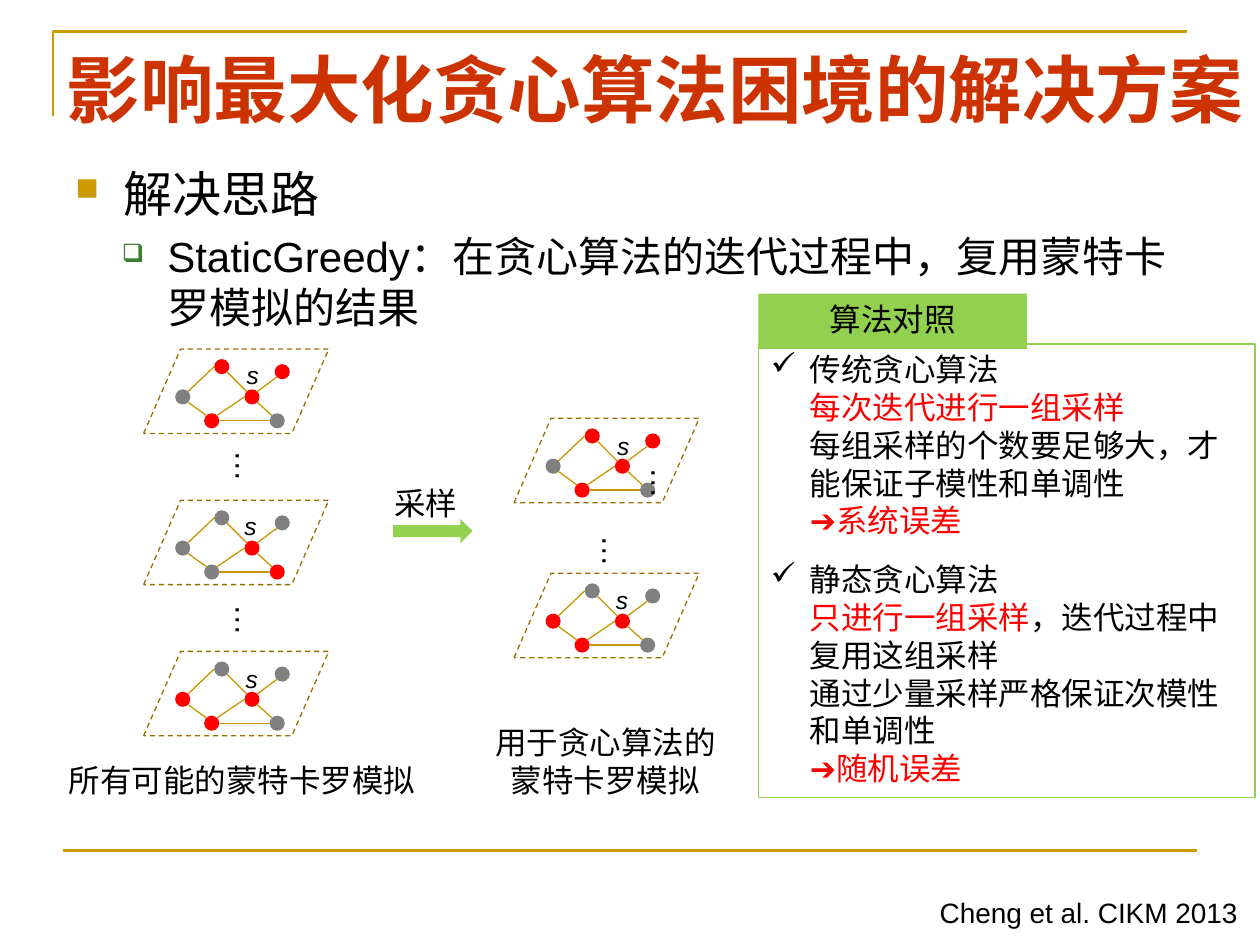
from dataclasses import dataclass
from typing import Optional

from lxml import etree
from pptx import Presentation
from pptx import util as u
from pptx.dml.color import RGBColor
from pptx.enum import dml, shapes, text
from pptx.oxml import ns

# The slide is a grid of 100 columns by 75 rows; every length counts its cells.
COLUMNS, ROWS = 100, 75
CELL = u.Inches(0.1)
COLORS = {
    "title": "CC3300", "gold": "CC9900", "edge": "C89600", "outline": "977100",
    "active": "FF0000", "idle": "808080", "green": "92D050", "bullet": "3B812F",
    "black": "000000",
}
NODE_SIZE = 1.2
NODES = {
    "left": (2.5, 3.2), "bottom": (4.8, 5.1), "far": (10.4, 1.2),
    "top": (5.6, 0.8), "seed": (8, 3.2), "right": (10, 5.1),
}
SITES = {
    "w": (0, 0.5), "e": (1, 0.5), "nw": (0.15, 0.15),
    "ne": (0.85, 0.15), "sw": (0.15, 0.85), "se": (0.85, 0.85),
}
EDGES = [
    ("left", "ne", "top", "w"), ("left", "se", "bottom", "nw"),
    ("bottom", "ne", "seed", "w"), ("seed", "nw", "top", "se"),
    ("far", "sw", "seed", "ne"), ("right", "w", "bottom", "e"),
    ("seed", "se", "right", "nw"),
]


@dataclass
class Panel:
    left: float
    top: float
    active: set
    label_left: float
    label_top: float


@dataclass
class Line:
    """One paragraph: (text, colour) runs with its list format."""
    runs: list
    size: Optional[float] = None
    margin: float = 0
    bullet: str = ""
    bullet_color: str = ""
    bullet_percent: int = 100
    level: int = 0
    before: float = 0
    after: float = 0


PANELS = [
    Panel(11.4, 27.7, {"bottom", "far", "top", "seed"}, 18.6, 28.1),
    Panel(11.4, 39.7, {"seed", "right"}, 18.4, 40.1),
    Panel(11.4, 51.7, {"left", "bottom", "seed"}, 18.5, 52.2),
    Panel(40.8, 33.2, {"bottom", "far", "top", "seed"}, 48, 33.7),
    Panel(40.8, 45.5, {"left", "bottom", "seed"}, 47.9, 45.9),
]
ELLIPSES = [(16.3, 47), (16.3, 34.8), (49.3, 36.1), (45.4, 41.5)]
IDEA = [
    Line([("解决思路", "black")], 28, 3.8, "■", "gold", 65, before=5.6),
    Line([("StaticGreedy：在贪心算法的迭代过程中，复用蒙特卡罗模拟的结果", "black")],
         24, 7.3, "❑", "bullet", 60, level=1, before=4.8),
]
COMPARISON = [
    Line([("传统贪心算法", "black")], margin=3.1, bullet="✓"),
    Line([("每次迭代进行一组采样", "active")], margin=3.1),
    Line([("每组采样的个数要足够大，才能保证子模性和单调性", "black")], margin=3.1),
    Line([("➔系统误差", "active")], margin=3.1, after=12),
    Line([("静态贪心算法", "black")], margin=3.1, bullet="✓"),
    Line([("只进行一组采样", "active"), ("，迭代过程中复用这组采样", "black")],
         margin=3.1, level=1),
    Line([("通过少量采样严格保证次模性和单调性", "black")], margin=3.1, level=1),
    Line([("➔随机误差", "active")], margin=3.1, level=1),
]


def cells(*counts: float) -> list:
    return [u.Emu(round(count * CELL)) for count in counts]


def rgb(name: str) -> RGBColor:
    return RGBColor.from_string(COLORS[name])


def set_bullet(properties, line: Line) -> None:
    def add(parent, tag: str, **attributes):
        return etree.SubElement(parent, ns.qn(tag), **attributes)

    properties.set("indent", str(-cells(line.margin if line.level == 0 else 3.6)[0]))
    if line.bullet_color:
        add(add(properties, "a:buClr"), "a:srgbClr", val=COLORS[line.bullet_color])
    add(properties, "a:buSzPct", val=str(line.bullet_percent * 1000))
    add(properties, "a:buChar", char=line.bullet)


def write(shape, lines: list, size: float = 18, font: str = "Arial",
          bold: bool = False, italic: bool = False, centered: bool = False,
          wrap: bool = False, grow: bool = True, vertical: bool = False) -> None:
    frame = shape.text_frame
    frame.word_wrap = wrap
    frame.auto_size = (text.MSO_AUTO_SIZE.SHAPE_TO_FIT_TEXT if grow
                       else text.MSO_AUTO_SIZE.NONE)
    frame.vertical_anchor = text.MSO_ANCHOR.TOP
    if vertical:
        frame._txBody.bodyPr.set("vert", "eaVert")
    for index, line in enumerate(lines):
        paragraph = frame.add_paragraph() if index else frame.paragraphs[0]
        paragraph.alignment = text.PP_ALIGN.CENTER if centered else text.PP_ALIGN.LEFT
        paragraph.level = line.level
        paragraph.space_before, paragraph.space_after = u.Pt(line.before), u.Pt(line.after)
        properties = paragraph._p.get_or_add_pPr()
        properties.set("marL", str(cells(line.margin)[0]))
        properties.set("indent", "0")
        if line.bullet:
            set_bullet(properties, line)
        for words, color in line.runs:
            run = paragraph.add_run()
            run.text = words
            run.font.size, run.font.name = u.Pt(line.size or size), font
            run.font.bold, run.font.italic = bold, italic
            run.font.color.rgb = rgb(color)


def add_text(slide, box: tuple, *words: str, **style) -> None:
    shape = slide.shapes.add_textbox(*cells(*box))
    write(shape, [Line([(part, "black")]) for part in words], **style)


def add_shape(container, kind, box: tuple, fill: str = "", outline: str = ""):
    shape = container.shapes.add_shape(kind, *cells(*box))
    format_shape(shape, fill, outline)
    return shape


def format_shape(shape, fill: str = "", outline: str = "", width: float = 0.75) -> None:
    shape.shadow.inherit = False
    for paint, color in ((shape.fill, fill), (shape.line.fill, outline)):
        if color:
            paint.solid()
            paint.fore_color.rgb = rgb(color)
        else:
            paint.background()
    if outline:
        shape.line.width = u.Pt(width)


def add_line(container, start: tuple, end: tuple, color: str, width: float) -> None:
    line = container.shapes.add_connector(
        shapes.MSO_CONNECTOR.STRAIGHT, *cells(*start, *end))
    line.line.color.rgb, line.line.width = rgb(color), u.Pt(width)
    etree.SubElement(line._element.spPr, ns.qn("a:effectLst"))


def add_panel(slide, panel: Panel) -> None:
    group = slide.shapes.add_group_shape()

    def site(node: str, side: str) -> tuple:
        (x, y), (across, down) = NODES[node], SITES[side]
        return (panel.left + x + across * NODE_SIZE, panel.top + y + down * NODE_SIZE)

    for node, (x, y) in NODES.items():
        add_shape(group, shapes.MSO_SHAPE.OVAL,
                  (panel.left + x, panel.top + y, NODE_SIZE, NODE_SIZE),
                  fill="active" if node in panel.active else "idle")
    for first, first_side, second, second_side in EDGES:
        add_line(group, site(first, first_side), site(second, second_side), "edge", 0.75)
    outline = add_shape(group, shapes.MSO_SHAPE.FLOWCHART_DATA,
                        (panel.left, panel.top, 14.7, 6.7), outline="outline")
    outline.line.dash_style = dml.MSO_LINE.DASH
    add_text(slide, (panel.label_left, panel.label_top, 3.1, 3.4), "s", size=14, italic=True)


def add_frame(slide) -> None:
    builder = slide.shapes.build_freeform(*cells(4.2, 9.2))
    builder.add_line_segments([cells(4.2, 2.5), cells(94.2, 2.5)], close=False)
    format_shape(builder.convert_to_shape(), outline="gold", width=1.5)
    add_line(slide, (5, 67.5), (95, 67.5), "gold", 1.5)


def main() -> None:
    presentation = Presentation()
    presentation.slide_width, presentation.slide_height = cells(COLUMNS, ROWS)
    slide = presentation.slides.add_slide(presentation.slide_layouts[5])
    add_frame(slide)
    title = slide.shapes.title
    title.left, title.top, title.width, title.height = cells(4.3, 3, 95.7, 12.5)
    write(title, [Line([("影响最大化贪心算法困境的解决方案", "title")])], size=42,
          font="Times New Roman", bold=True, wrap=True, grow=False)
    body = slide.shapes.add_textbox(*cells(5, 12.5, 90, 49.5))
    write(body, IDEA, wrap=True, grow=False)

    for panel in PANELS:
        add_panel(slide, panel)
    for left, top in ELLIPSES:
        add_text(slide, (left, top, 5.4, 3.8), "…", vertical=True)
    add_text(slide, (4.3, 59.9, 29.8, 4), "所有可能的蒙特卡罗模拟", centered=True)
    add_shape(slide, shapes.MSO_SHAPE.RIGHT_ARROW, (31.2, 41.2, 6.3, 1.9), fill="green")
    add_text(slide, (30.3, 37.9, 7.7, 4.4), "采样")
    add_text(slide, (38.2, 56.9, 19.7, 7.1), "用于贪心算法的", "蒙特卡罗模拟", centered=True)

    rectangle = shapes.MSO_SHAPE.RECTANGLE
    comparison = add_shape(slide, rectangle, (60.2, 27.3, 39.4, 36), outline="green")
    write(comparison, COMPARISON, wrap=True)
    heading = add_shape(slide, rectangle, (60.2, 23.3, 21.3, 4.4), fill="green")
    write(heading, [Line([("算法对照", "black")])], centered=True, wrap=True)
    add_text(slide, (73.6, 70.6, 26, 3.7), "Cheng et al. CIKM 2013", size=16)
    presentation.save("out.pptx")


if __name__ == "__main__":
    main()
